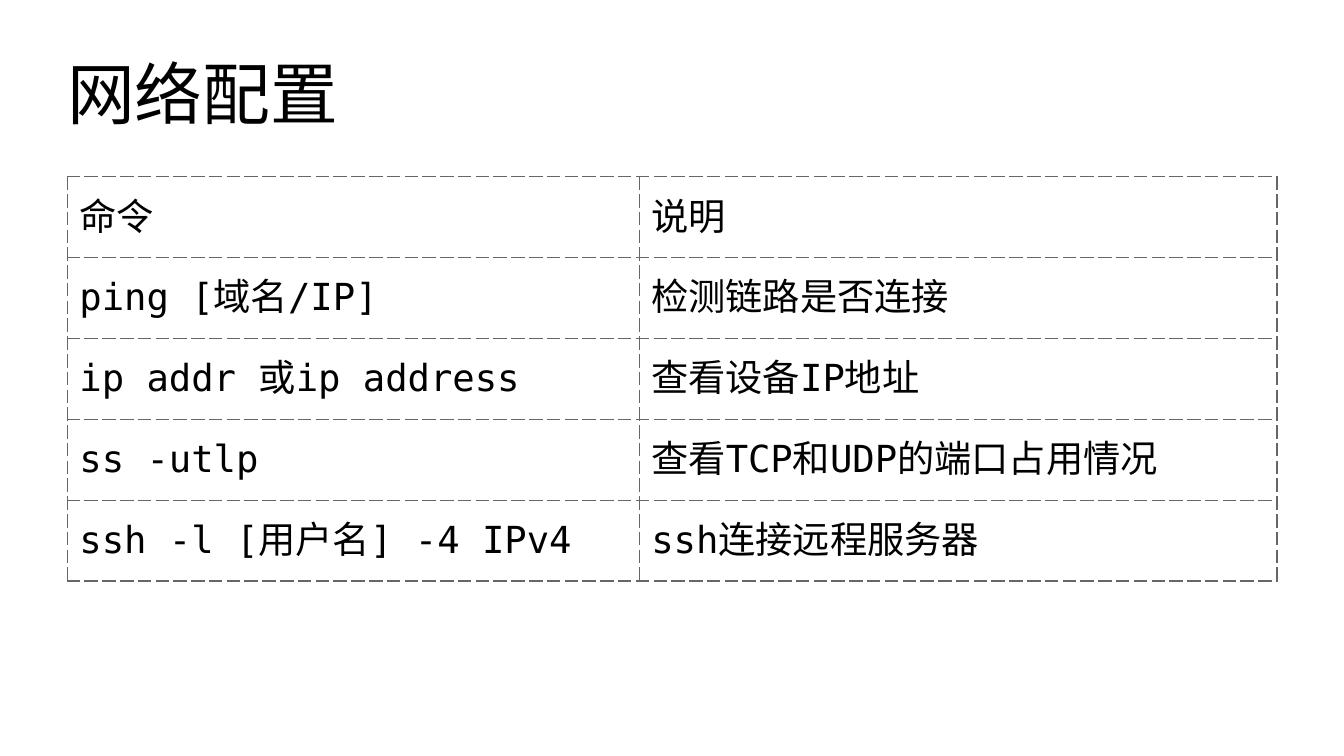
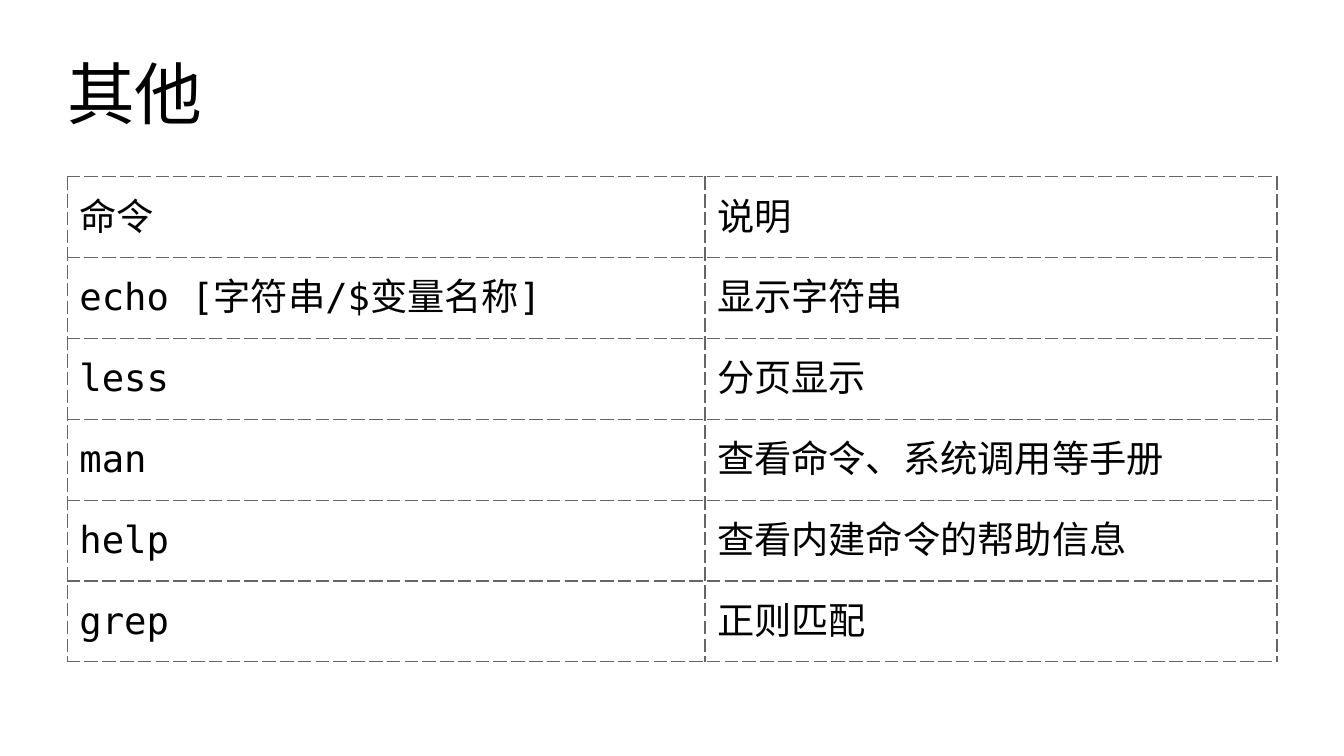
from dataclasses import dataclass

from lxml import etree
from pptx import Presentation
from pptx import util as u
from pptx.dml.color import RGBColor
from pptx.enum import text
from pptx.oxml import ns

WIDTH, HEIGHT = u.Inches(11.02), u.Inches(6.2)
LEFT, CONTENT_W = int(WIDTH * 0.05), int(WIDTH * 0.9)
TITLE_TOP, TITLE_H = u.Inches(0.25), u.Inches(1.01)
TABLE_TOP, ROW_H = u.Inches(1.45), u.Inches(3.98 / 6)
WIDE, NARROW = u.Inches(5.23), u.Inches(4.69)

FONT = "DejaVu Sans Mono"
TITLE_SIZE, CELL_SIZE = u.Pt(40), u.Pt(22)
INK = RGBColor(0x00, 0x00, 0x00)
PAPER = RGBColor(0xFF, 0xFF, 0xFF)
RULE = RGBColor(0x66, 0x66, 0x66)
RULE_W = u.Pt(0.85)

HEADER = ("命令", "说明")


@dataclass(frozen=True)
class CommandSlide:
    title: str
    columns: tuple[int, int]
    commands: tuple[tuple[str, str], ...]


SLIDES = (
    CommandSlide("网络配置", (NARROW, WIDE), (
        ("ping [域名/IP]", "检测链路是否连接"),
        ("ip addr 或ip address", "查看设备IP地址"),
        ("ss -utlp", "查看TCP和UDP的端口占用情况"),
        ("ssh -l [用户名] -4 IPv4", "ssh连接远程服务器"),
    )),
    CommandSlide("其他", (WIDE, NARROW), (
        ("echo [字符串/$变量名称]", "显示字符串"),
        ("less", "分页显示"),
        ("man", "查看命令、系统调用等手册"),
        ("help", "查看内建命令的帮助信息"),
        ("grep", "正则匹配"),
    )),
)


def write(tf, content: str, size: int) -> None:
    tf.text = content
    for r in tf.paragraphs[0].runs:
        r.font.size = size
        r.font.name = FONT
        r.font.color.rgb = INK
        ea = etree.SubElement(r.font._element, ns.qn("a:ea"))
        ea.set("typeface", FONT)


def add_borders(cell) -> None:
    tcPr = cell._tc.get_or_add_tcPr()
    for side in ("L", "R", "T", "B"):
        ln = etree.SubElement(tcPr, ns.qn(f"a:ln{side}"), w=str(int(RULE_W)))
        fill = etree.SubElement(ln, ns.qn("a:solidFill"))
        etree.SubElement(fill, ns.qn("a:srgbClr"), val=str(RULE))
        etree.SubElement(ln, ns.qn("a:prstDash"), val="dash")


def add_title(s, title: str) -> None:
    sp = s.shapes.add_textbox(LEFT, TITLE_TOP, CONTENT_W, TITLE_H)
    tf = sp.text_frame
    tf.word_wrap = True
    tf.vertical_anchor = text.MSO_ANCHOR.MIDDLE
    tf.margin_left = tf.margin_right = tf.margin_top = tf.margin_bottom = 0
    write(tf, title, TITLE_SIZE)


def add_commands(s, page: CommandSlide) -> None:
    rows = (HEADER, *page.commands)
    table = s.shapes.add_table(len(rows), len(HEADER), LEFT, TABLE_TOP,
                               CONTENT_W, ROW_H * len(rows)).table
    table.first_row = table.horz_banding = False
    for column, width in zip(table.columns, page.columns):
        column.width = width
    for i, row in enumerate(rows):
        table.rows[i].height = ROW_H
        for j, content in enumerate(row):
            cell = table.cell(i, j)
            cell.vertical_anchor = text.MSO_ANCHOR.MIDDLE
            add_borders(cell)
            cell.fill.background()
            write(cell.text_frame, content, CELL_SIZE)


def main() -> None:
    prs = Presentation()
    prs.slide_width, prs.slide_height = WIDTH, HEIGHT
    fill = prs.slide_master.background.fill
    fill.solid()
    fill.fore_color.rgb = PAPER
    for page in SLIDES:
        s = prs.slides.add_slide(prs.slide_layouts[6])
        add_title(s, page.title)
        add_commands(s, page)
    prs.save("out.pptx")


if __name__ == "__main__":
    main()
